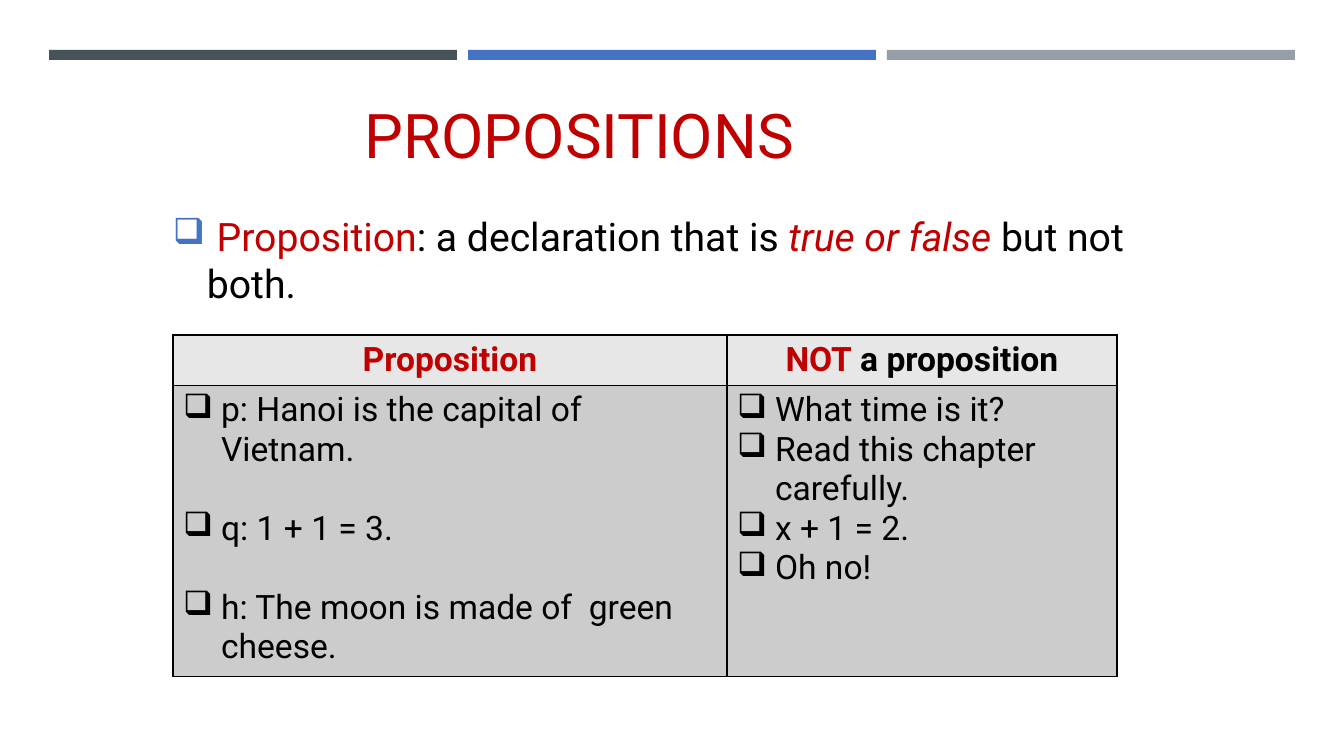
from lxml import etree
from pptx import Presentation
from pptx.dml.color import RGBColor
from pptx.enum.shapes import MSO_SHAPE
from pptx.enum.text import MSO_ANCHOR, PP_ALIGN
from pptx.oxml.ns import qn
from pptx.util import Emu, Pt

RECTANGLE = MSO_SHAPE.RECTANGLE
TOP, BOTTOM = MSO_ANCHOR.TOP, MSO_ANCHOR.BOTTOM
LEFT, CENTER = PP_ALIGN.LEFT, PP_ALIGN.CENTER

SLATE = RGBColor(0x46, 0x53, 0x59)
BLUE = RGBColor(0x44, 0x72, 0xC4)
GRAY = RGBColor(0x96, 0x9F, 0xA7)
RED = RGBColor(0xC0, 0x00, 0x00)
BLACK = RGBColor(0x00, 0x00, 0x00)
HEADER_FILL = RGBColor(0xE7, 0xE7, 0xE7)
BODY_FILL = RGBColor(0xCC, 0xCC, 0xCC)

PAGE_WIDTH, PAGE_HEIGHT = 1344, 756
BLANK_LINE = 28.2  # points, one line of 24-point text


def px(length):
    return Emu(round(length * 914400 / 100.8))


class Page:
    font = "Roboto"

    def __init__(self, deck):
        self.slide = deck.slides.add_slide(deck.slide_layouts[6])

    def bar(self, left, top, width, height, color):
        shape = self.slide.shapes.add_shape(
            RECTANGLE, px(left), px(top), px(width), px(height))
        shape.shadow.inherit = False
        shape.fill.solid()
        shape.fill.fore_color.rgb = color
        shape.line.fill.background()

    def text(self, left, top, width, height, anchor):
        box = self.slide.shapes.add_textbox(px(left), px(top), px(width), px(height))
        box.text_frame.word_wrap = True
        box.text_frame.vertical_anchor = anchor
        return box.text_frame

    def add_spans(self, para, spans, size, align=LEFT):
        """Each span is (text, color) with an optional set of styles."""
        para.alignment = align
        for text, color, *styles in spans:
            span = para.add_run()
            span.text = text
            span.font.name = self.font
            span.font.size = Pt(size)
            span.font.color.rgb = color
            span.font.bold = "bold" in styles
            span.font.italic = "italic" in styles

    def bullet(self, para, indent, color=BLACK, percent=100):
        props = para._p.get_or_add_pPr()
        props.set("marL", str(px(indent)))
        props.set("indent", str(-px(indent)))
        tint = etree.SubElement(props, qn("a:buClr"))
        etree.SubElement(tint, qn("a:srgbClr"), val=str(color))
        etree.SubElement(props, qn("a:buSzPct"), val=str(percent * 1000))
        etree.SubElement(props, qn("a:buChar"), char="❑")

    def table(self, left, top, widths, heights):
        frame = self.slide.shapes.add_table(
            len(heights), len(widths), px(left), px(top),
            px(sum(widths)), px(sum(heights)))
        table = frame.table
        table.first_row = table.horz_banding = False
        for column, width in zip(table.columns, widths):
            column.width = px(width)
        for row, height in zip(table.rows, heights):
            row.height = px(height)
        return table

    def cell(self, cell, fill):
        props = cell._tc.get_or_add_tcPr()
        for side in ("lnL", "lnR", "lnT", "lnB"):
            line = etree.SubElement(props, qn(f"a:{side}"), w=str(Pt(1)))
            paint = etree.SubElement(line, qn("a:solidFill"))
            etree.SubElement(paint, qn("a:srgbClr"), val=str(BLACK))
        cell.fill.solid()
        cell.fill.fore_color.rgb = fill
        return cell.text_frame


def main():
    deck = Presentation()
    deck.slide_width, deck.slide_height = px(PAGE_WIDTH), px(PAGE_HEIGHT)
    page = Page(deck)

    # Bars along the top
    for index, color in enumerate((SLATE, BLUE, GRAY)):
        page.bar(49 + 419 * index, 50, 408, 10, color)

    # Title
    title = page.text(355, 50, 774, 126, BOTTOM)
    page.add_spans(title.paragraphs[0], [("PROPOSITIONS", RED)], 44)

    # Definition
    definition = page.text(163, 207, 995, 104, TOP).paragraphs[0]
    page.bullet(definition, 34, BLUE, 92)
    page.add_spans(definition, [
        (" ", BLACK),
        ("Proposition", RED),
        (": a declaration that is ", BLACK),
        ("true or false ", RED, "italic"),
        ("but not both.", BLACK),
    ], 28)

    # Examples: header spans, gap between items in points, items
    columns = [
        ([("Proposition", RED, "bold")], BLANK_LINE, [
            "p: Hanoi is the capital of Vietnam.",
            "q: 1 + 1 = 3.",
            "h: The moon is made of  green cheese.",
        ]),
        ([("NOT", RED, "bold"), (" a proposition", BLACK, "bold")], 0, [
            "What time is it?",
            "Read this chapter carefully.",
            "x + 1 = 2.",
            "Oh no!",
        ]),
    ]
    table = page.table(173, 335, (554, 390), (50, 286))
    for index, (header, gap, items) in enumerate(columns):
        heading = page.cell(table.cell(0, index), HEADER_FILL)
        page.add_spans(heading.paragraphs[0], header, 24, CENTER)
        body = page.cell(table.cell(1, index), BODY_FILL)
        for number, item in enumerate(items):
            para = body.add_paragraph() if number else body.paragraphs[0]
            page.bullet(para, 38)
            if number and gap:
                para.space_before = Pt(gap)
            page.add_spans(para, [(item, BLACK)], 24)

    deck.save("out.pptx")


if __name__ == "__main__":
    main()
